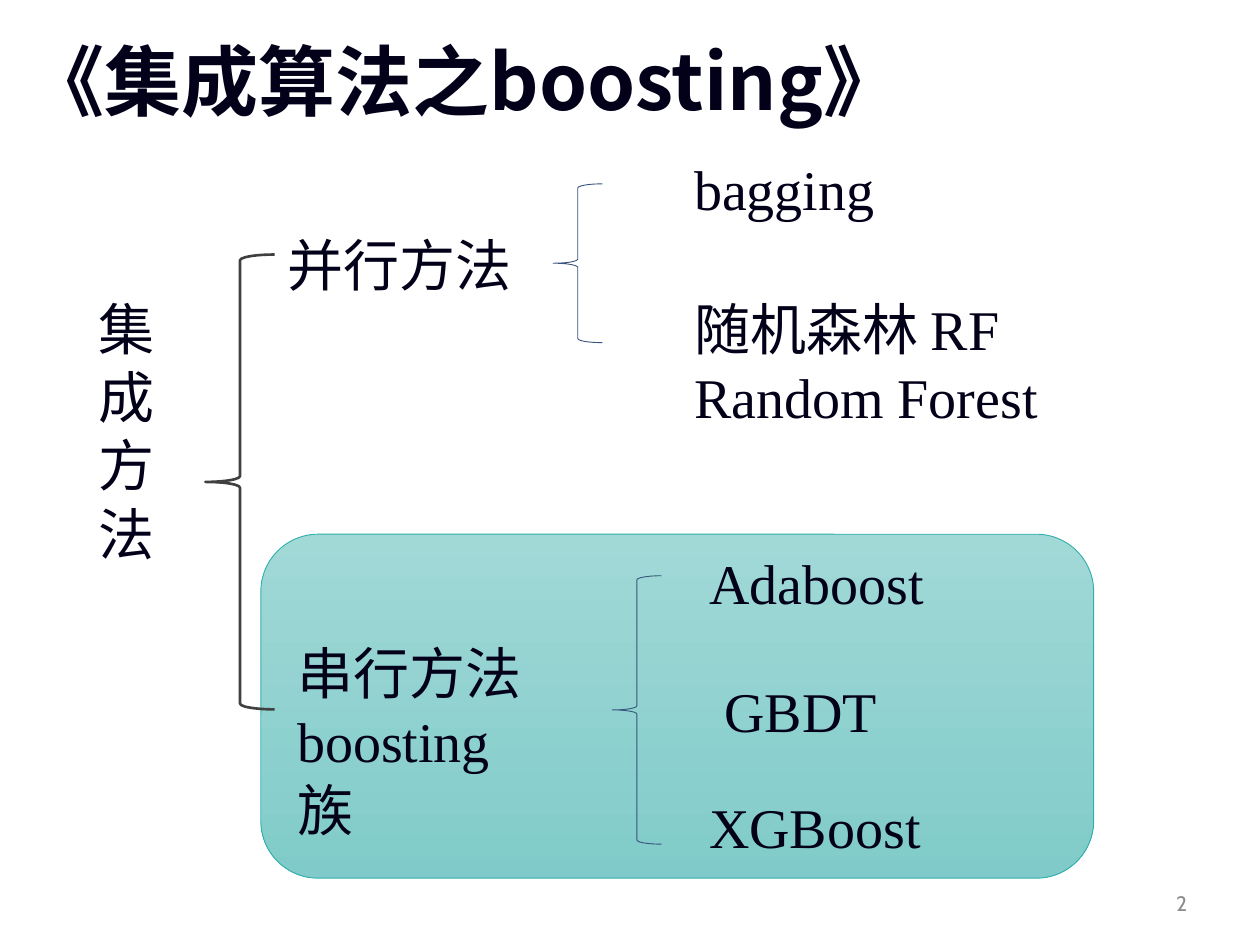
from pptx import Presentation, util as u
from pptx.dml.color import RGBColor
from pptx.enum import shapes, text
from pptx.oxml.ns import qn
from lxml import etree

COLORS = {
    "ink": "03001A", "gray": "8C8C8C", "dark": "404040", "navy": "39527B",
    "teal": "30AEAB", "light": "A1D9D7", "deep": "80CBC9",
}
CJK, LATIN, NUMBER = "Noto Sans CJK SC", "Times New Roman", "Cabin"


class MethodMap:
    """Holds the style and the current slide, and draws its elements."""

    def __init__(self, slide):
        self.slide = slide

    def color(self, name):
        return RGBColor.from_string(COLORS[name])

    def shape(self, kind, box, line, width):
        shape = self.slide.shapes.add_shape(kind, *map(u.Inches, box))
        shape.shadow.inherit = False
        shape.line.color.rgb = self.color(line)
        shape.line.width = u.Pt(width)
        return shape

    def brace(self, box, line="navy", width=0.5):
        self.shape(shapes.MSO_SHAPE.LEFT_BRACE, box, line, width).fill.background()

    def panel(self, box):
        fill = self.shape(shapes.MSO_SHAPE.ROUNDED_RECTANGLE, box, "teal", 0.5).fill
        fill.gradient()
        fill.gradient_angle = 270
        for stop, name, position in zip(fill.gradient_stops, ("light", "deep"), (0, 1)):
            stop.color.rgb = self.color(name)
            stop.position = position

    def text(self, box, paragraphs, size=32, color="ink", bold=False,
             spacing=u.Pt(39), align=text.PP_ALIGN.LEFT, anchor=text.MSO_ANCHOR.TOP):
        frame = self.slide.shapes.add_textbox(*map(u.Inches, box)).text_frame
        frame.word_wrap = True
        frame.vertical_anchor = anchor
        for index, runs in enumerate(paragraphs):
            paragraph = frame.add_paragraph() if index else frame.paragraphs[0]
            paragraph.alignment = align
            paragraph.line_spacing = spacing
            for words, font in runs:
                if words == "\n":
                    paragraph.add_line_break()
                    continue
                run = paragraph.add_run()
                run.text = words
                run.font.name = font
                run.font.size = u.Pt(size)
                run.font.bold = bold
                run.font.color.rgb = self.color(color)
                east_asian = etree.Element(qn("a:ea"), typeface=font)
                run.font._element.find(qn("a:latin")).addnext(east_asian)


def main():
    presentation = Presentation()
    presentation.slide_width = u.Inches(10)
    presentation.slide_height = u.Inches(7.5)
    slide = presentation.slides.add_slide(presentation.slide_layouts[6])
    method_map = MethodMap(slide)

    method_map.text((7.19, 6.97, 2.33, 0.4), [[("2", NUMBER)]], size=12, color="gray",
                    spacing=1.0, align=text.PP_ALIGN.RIGHT, anchor=text.MSO_ANCHOR.MIDDLE)
    method_map.text((0.12, 0.36, 7.97, 1.19), [[("《集成算法之boosting》", CJK)]],
                    size=44, bold=True, spacing=0.8)
    method_map.panel((2.07, 4.24, 6.61, 2.73))

    method_map.text((0.68, 2.28, 0.65, 2.26), [[(letter, CJK)] for letter in "集成方法"])
    method_map.brace((1.63, 2.02, 0.55, 3.61), "dark", 1.5)
    method_map.text((2.18, 1.77, 2, 0.64), [[("并行方法", CJK)]])
    method_map.text((2.26, 5.01, 2.27, 1.18), [
        [("串行方法", CJK)],
        [("boosting", LATIN), ("\n", LATIN), ("族", CJK)],
    ])

    method_map.brace((4.39, 1.46, 0.39, 1.26))
    method_map.text((5.41, 2.28, 2.99, 1.18), [
        [("随机森林 ", CJK), ("RF", LATIN)],
        [("Random Forest", LATIN)],
    ])
    method_map.brace((4.86, 4.57, 0.39, 2.13))
    for name, left, top, width in (
        ("bagging", 5.41, 1.17, 1.65),
        ("Adaboost", 5.53, 4.3, 2),
        ("GBDT", 5.65, 5.31, 1.42),
        ("XGBoost", 5.53, 6.23, 1.9),
    ):
        method_map.text((left, top, width, 0.64), [[(name, LATIN)]])

    presentation.save("out.pptx")


if __name__ == "__main__":
    main()
